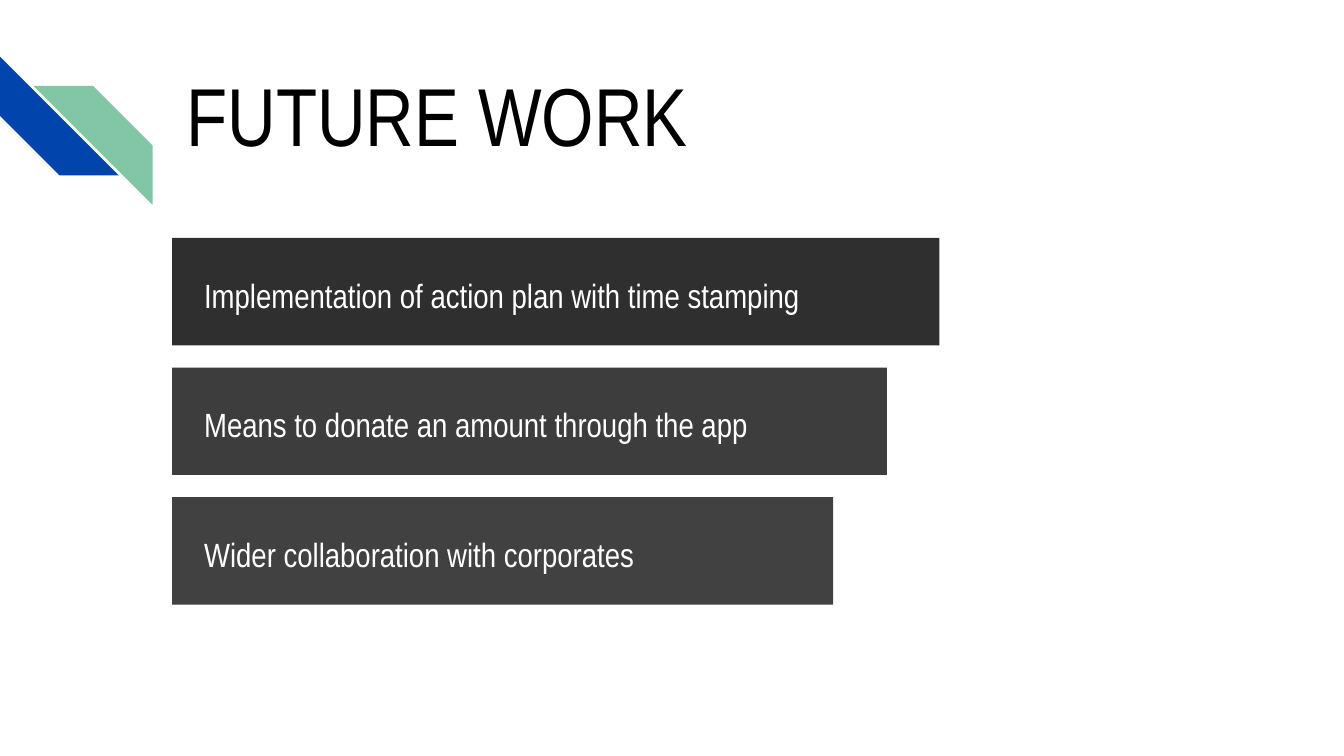
from dataclasses import dataclass

from pptx import Presentation
from pptx.dml.color import RGBColor
from pptx.enum.shapes import MSO_SHAPE
from pptx.enum.text import MSO_ANCHOR
from pptx.util import Inches, Pt

RECT, STRIPE = MSO_SHAPE.RECTANGLE, MSO_SHAPE.DIAGONAL_STRIPE
TOP, MIDDLE = MSO_ANCHOR.TOP, MSO_ANCHOR.MIDDLE
FONT = "Arial Narrow"

# 16:9 slide with a square grid: 100 columns across
WIDE = Inches(10)
HIGH = WIDE * 9 // 16
CELL = WIDE / 100
LEFT, FIRST, STEP, TALL = 12.8, 17.7, 9.65, 8  # bar column and rows
INSET = 1.4  # from bar edge to its label


@dataclass
class Box:
    col: float
    row: float
    cols: float
    rows: float

    def place(self) -> list[int]:
        return [round(n * CELL) for n in (self.col, self.row, self.cols, self.rows)]


@dataclass
class Stripe:
    box: Box
    fill: str
    turn: int


@dataclass
class Bar:
    text: str
    fill: str
    cols: float
    label: float  # label width
    rows: float  # label height


STRIPES = [
    Stripe(Box(0, 4.2, 8.85, 8.85), "0145AC", 270),
    Stripe(Box(2.5, 6.4, 8.85, 8.85), "82C7A5", 90),
]
BARS = [
    Bar("Implementation of action plan with time stamping", "2F2F2F", 57.1, 52.1, 6.3),
    Bar("Means to donate an amount through the app", "3D3D3D", 53.2, 47.8, 3.6),
    Bar("Wider collaboration with corporates", "414141", 49.2, 42.1, 3.6),
]


def color(code: str) -> RGBColor:
    return RGBColor.from_string(code)


def block(slide, kind, box: Box, fill: str, turn: int = 0) -> None:
    shape = slide.shapes.add_shape(kind, *box.place())
    shape.rotation = turn
    shape.shadow.inherit = False
    shape.fill.solid()
    shape.fill.fore_color.rgb = color(fill)
    shape.line.fill.background()


def write(slide, box: Box, text: str, size: int, ink: str, pad: float,
          anchor=TOP, space: float = 1.0) -> None:
    frame = slide.shapes.add_textbox(*box.place()).text_frame
    form = {
        "word_wrap": True,
        "vertical_anchor": anchor,
        "margin_left": Inches(0.1),
        "margin_right": Inches(0.1),
        "margin_top": Inches(pad),
        "margin_bottom": Inches(pad),
    }
    for name, value in form.items():
        setattr(frame, name, value)
    para = frame.paragraphs[0]
    para.line_spacing = space
    run = para.add_run()
    run.text = text
    for name, value in {"name": FONT, "size": Pt(size)}.items():
        setattr(run.font, name, value)
    run.font.color.rgb = color(ink)


def main() -> None:
    deck = Presentation()
    deck.slide_width, deck.slide_height = WIDE, HIGH
    slide = deck.slides.add_slide(deck.slide_layouts[6])

    # Corner stripes
    for item in STRIPES:
        block(slide, STRIPE, item.box, item.fill, item.turn)

    # Title
    write(slide, Box(12.9, 3.8, 74.1, 8.6), "FUTURE WORK", 44, "000000", 0.1)

    # Bars, each with a label centred on its height
    for i, bar in enumerate(BARS):
        row = FIRST + i * STEP
        block(slide, RECT, Box(LEFT, row, bar.cols, TALL), bar.fill)
        label = Box(LEFT + INSET, row + (TALL - bar.rows) / 2, bar.label, bar.rows)
        write(slide, label, bar.text, 18, "FFFFFF", 0.05, MIDDLE, 1.15)

    deck.save("out.pptx")


if __name__ == "__main__":
    main()
